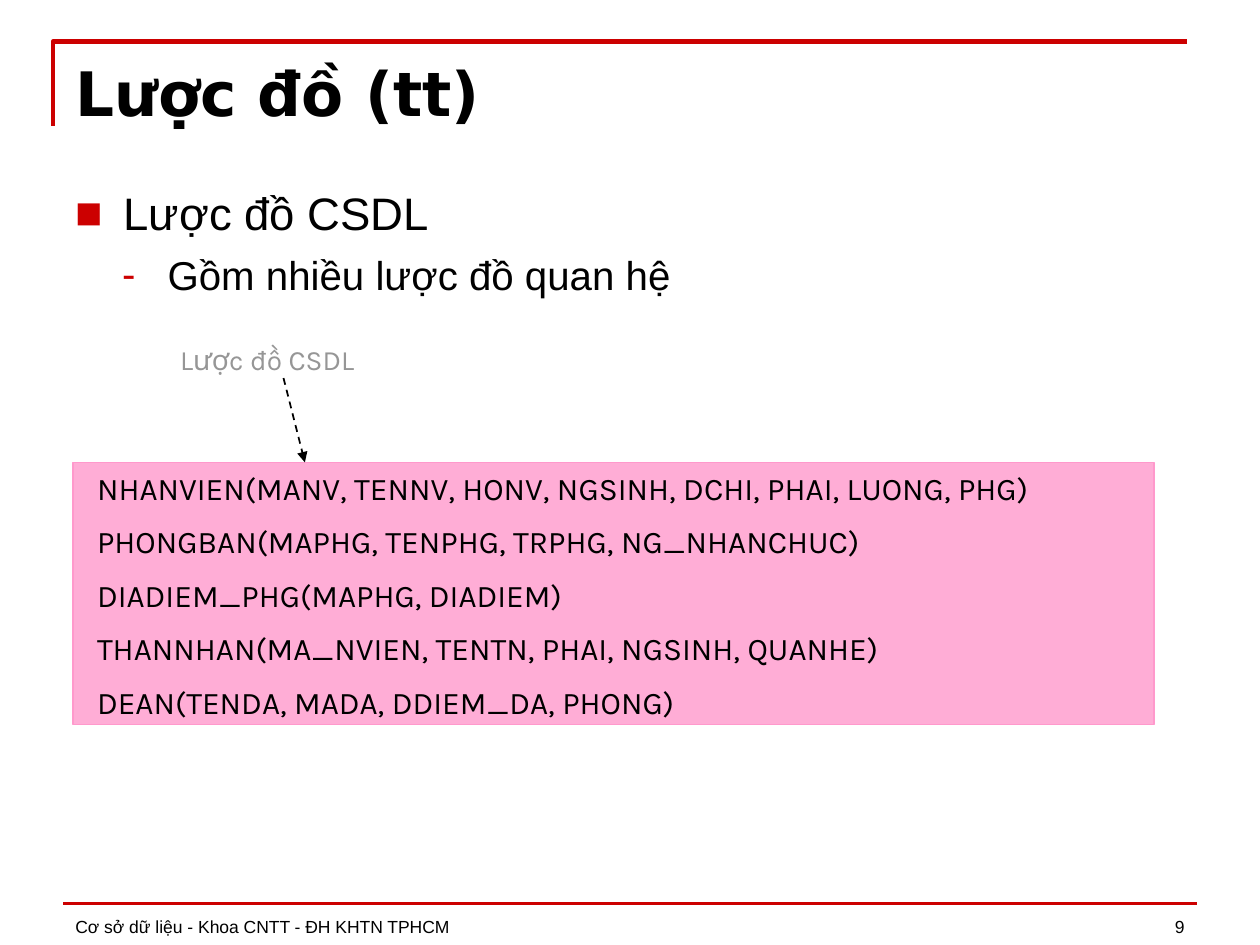
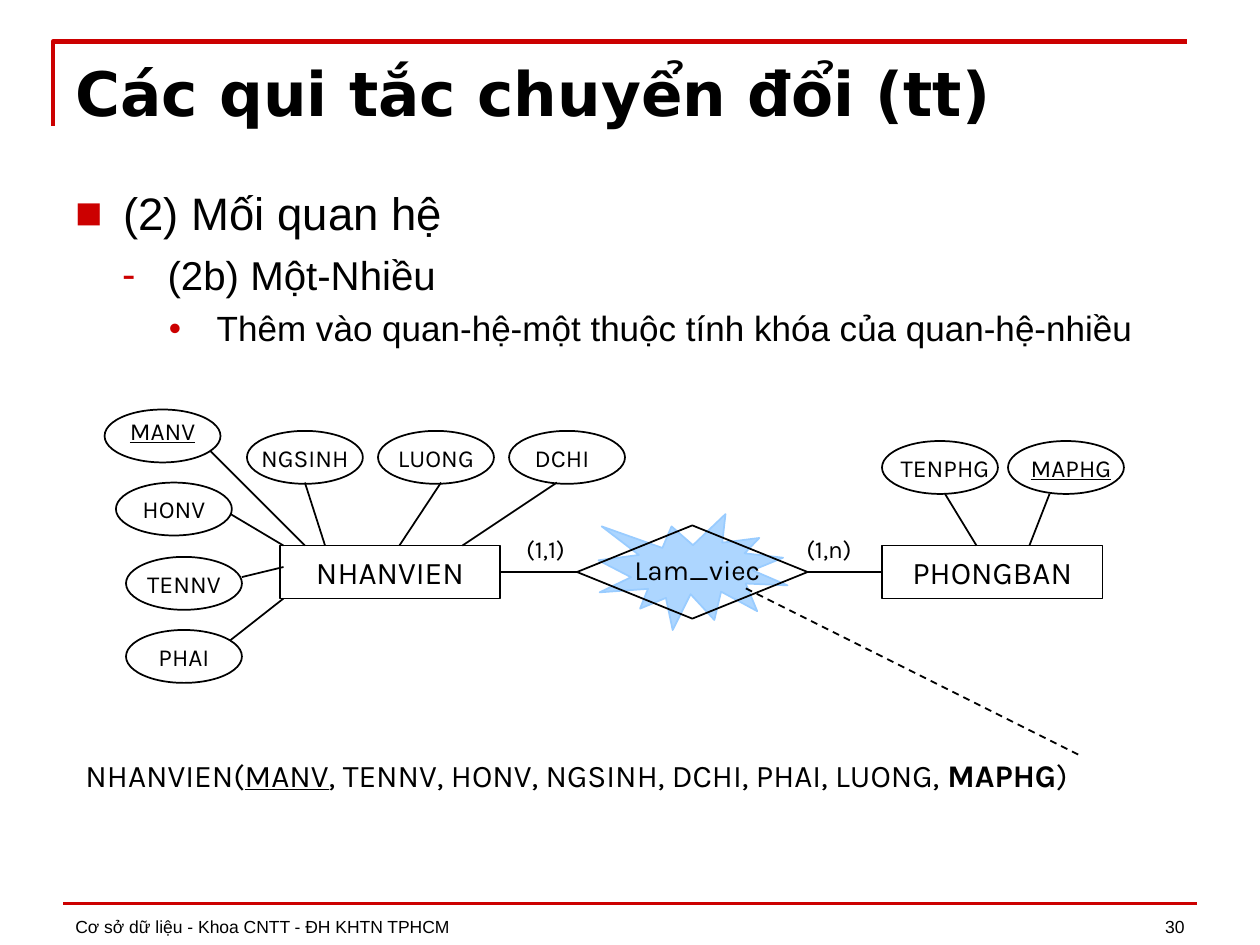
from lxml import etree
from pptx import Presentation
from pptx.dml.color import RGBColor
from pptx.enum.dml import MSO_LINE
from pptx.enum.shapes import MSO_CONNECTOR, MSO_SHAPE
from pptx.enum.text import MSO_ANCHOR, MSO_AUTO_SIZE, PP_ALIGN
from pptx.oxml.ns import qn
from pptx.util import Inches, Pt

STRAIGHT = MSO_CONNECTOR.STRAIGHT
DASH = MSO_LINE.DASH
RECTANGLE, OVAL = MSO_SHAPE.RECTANGLE, MSO_SHAPE.OVAL
DECISION, BURST = MSO_SHAPE.FLOWCHART_DECISION, MSO_SHAPE.EXPLOSION1
TOP, MIDDLE, BOTTOM = MSO_ANCHOR.TOP, MSO_ANCHOR.MIDDLE, MSO_ANCHOR.BOTTOM
LEFT, CENTER, RIGHT, JUSTIFY = PP_ALIGN.LEFT, PP_ALIGN.CENTER, PP_ALIGN.RIGHT, PP_ALIGN.JUSTIFY
NO_FIT = MSO_AUTO_SIZE.NONE

COLORS = {"ink": "000000", "accent": "CC0000", "muted": "969696",
          "schema": "FF99CC", "highlight": "99CCFF"}
FORMATS = {
    "title": {"name": "DejaVu Sans", "size": Pt(35), "bold": True},
    "footer": {"name": "Arial", "size": Pt(10)},
    "schema": {"name": "Karla", "size": Pt(18)},
    "relation": {"name": "Karla", "size": Pt(16)},
    "attribute": {"name": "Karla", "size": Pt(14)},
    "key": {"name": "Karla", "size": Pt(14), "underline": True},
}
LEVELS = [
    {"bullet": "■", "indent": 0.38, "hang": 0.38, "size": 26, "before": 0},
    {"bullet": "-", "indent": 0.73, "hang": 0.36, "size": 23, "before": 5.8},
    {"bullet": "•", "indent": 1.12, "hang": 0.38, "size": 20, "before": 5},
]
FOOTER = "Cơ sở dữ liệu - Khoa CNTT - ĐH KHTN TPHCM"
SCHEMAS = [
    "NHANVIEN(MANV, TENNV, HONV, NGSINH, DCHI, PHAI, LUONG, PHG)",
    "PHONGBAN(MAPHG, TENPHG, TRPHG, NG_NHANCHUC)",
    "DIADIEM_PHG(MAPHG, DIADIEM)",
    "THANNHAN(MA_NVIEN, TENTN, PHAI, NGSINH, QUANHE)",
    "DEAN(TENDA, MADA, DDIEM_DA, PHONG)",
]
ATTRIBUTES = [
    {"name": "MANV", "at": (0, 0), "spoke": (0.84, 0.33, 1.59, 1.08), "format": "key", "lift": 0.08},
    {"name": "HONV", "at": (0.09, 0.58), "spoke": (1, 0.83, 1.42, 1.08)},
    {"name": "TENNV", "at": (0.17, 1.17), "spoke": (1.09, 1.33, 1.42, 1.25)},
    {"name": "PHAI", "at": (0.17, 1.75), "spoke": (1, 1.83, 1.42, 1.5)},
    {"name": "NGSINH", "at": (1.13, 0.17), "spoke": (1.59, 0.58, 1.75, 1.08)},
    {"name": "LUONG", "at": (2.17, 0.17), "spoke": (2.67, 0.58, 2.34, 1.08)},
    {"name": "DCHI", "at": (3.21, 0.17), "spoke": (3.59, 0.58, 2.84, 1.08), "shift": -0.08},
    {"name": "TENPHG", "at": (6.17, 0.25), "spoke": (6.67, 0.67, 6.92, 1.08), "shift": 0.08},
    {"name": "MAPHG", "at": (7.17, 0.25), "spoke": (7.5, 0.67, 7.34, 1.08), "format": "key", "shift": 0.08},
]


def rgb(color):
    """Return the palette colour of that name."""
    return RGBColor.from_string(COLORS[color])


def set_all(target, values):
    """Set each attribute in the dict on the target."""
    for name, value in values.items():
        setattr(target, name, value)


def style(font, format_name, color="ink", **extra):
    """Apply a named text format and a colour to a font."""
    set_all(font, {**FORMATS[format_name], **extra})
    font.color.rgb = rgb(color)


def place(part, left, top, width, height):
    """Move and size a part, in inches."""
    set_all(part, {"left": Inches(left), "top": Inches(top),
                   "width": Inches(width), "height": Inches(height)})


def write(frame, lines, format_name, color="ink", align=LEFT, anchor=TOP, before=0,
          wrap=True, margins=(0.1, 0.05, 0.1, 0.05)):
    """Fill a text frame with one paragraph a line."""
    sides = ("margin_left", "margin_top", "margin_right", "margin_bottom")
    set_all(frame, {"auto_size": NO_FIT, "word_wrap": wrap, "vertical_anchor": anchor,
                    **{side: Inches(gap) for side, gap in zip(sides, margins)}})
    for index, line in enumerate(lines):
        paragraph = frame.add_paragraph() if index else frame.paragraphs[0]
        paragraph.text = line
        paragraph.alignment = align
        paragraph.space_before = Pt(before if index else 0)
        style(paragraph.font, format_name, color)


def add_label(slide, box, text, format_name, **options):
    """Add a text box with one line."""
    label = slide.shapes.add_textbox(*map(Inches, box))
    write(label.text_frame, [text], format_name, **options)


def add_outline(slide, kind, box, fill=None):
    """Add a preset shape, hollow or with a translucent fill."""
    shape = slide.shapes.add_shape(kind, *map(Inches, box))
    shape.shadow.inherit = False
    shape.line.width = Pt(1)
    shape.line.color.rgb = rgb(fill or "ink")
    if fill:
        shape.fill.solid()
        shape.fill.fore_color.rgb = rgb(fill)
        color = shape._element.spPr.find(qn("a:solidFill"))[0]
        etree.SubElement(color, qn("a:alpha"), val="80000")
    else:
        shape.fill.background()
    return shape


def add_line(slide, ends, color="ink", width=1, dash=None, arrow=False):
    """Add a straight line, dashed or with an arrowhead if asked."""
    line = slide.shapes.add_connector(STRAIGHT, *map(Inches, ends))
    line.line.color.rgb = rgb(color)
    line.line.width = Pt(width)
    if dash:
        line.line.dash_style = dash
    if arrow:
        etree.SubElement(line.line._get_or_add_ln(), qn("a:tailEnd"), type="triangle")
    etree.SubElement(line._element.spPr, qn("a:effectLst"))
    return line


def add_frame(slide, number):
    """Draw the corner rule, the footer rule and the footer texts."""
    corner = slide.shapes.build_freeform(Inches(0.42), Inches(1), scale=1.0)
    corner.add_line_segments([(Inches(0.42), Inches(0.33)), (Inches(9.42), Inches(0.33))], close=False)
    rule = corner.convert_to_shape()
    rule.shadow.inherit = False
    rule.fill.background()
    rule.line.color.rgb = rgb("accent")
    rule.line.width = Pt(2.5)
    add_line(slide, (0.5, 7.17, 9.5, 7.17), "accent", 2)
    add_label(slide, (0.5, 6.99, 6.08, 0.5), FOOTER, "footer", anchor=BOTTOM)
    add_label(slide, (7.17, 6.99, 2.33, 0.5), number, "footer", align=RIGHT, anchor=BOTTOM)


def add_bullet(paragraph, level):
    """Give a paragraph the bullet and indent of its level."""
    properties = paragraph._p.get_or_add_pPr()
    properties.set("marL", str(Inches(level["indent"])))
    properties.set("indent", str(-Inches(level["hang"])))
    color = etree.SubElement(properties, qn("a:buClr"))
    etree.SubElement(color, qn("a:srgbClr"), val=COLORS["accent"])
    etree.SubElement(properties, qn("a:buFont"), typeface="Arial")
    etree.SubElement(properties, qn("a:buChar"), char=level["bullet"])


def add_content_slide(deck, title, points, number):
    """Add a slide with title, one point for each level, and the frame."""
    slide = deck.slides.add_slide(deck.slide_layouts[1])
    heading, body = slide.placeholders
    place(heading, 0.5, 0.39, 9, 0.68)
    write(heading.text_frame, [title], "title", anchor=MIDDLE)
    place(body, 0.5, 1.42, 9, 5.29)
    frame = body.text_frame
    set_all(frame, {"auto_size": NO_FIT, "word_wrap": True, "vertical_anchor": TOP})
    for depth, (point, level) in enumerate(zip(points, LEVELS)):
        paragraph = frame.add_paragraph() if depth else frame.paragraphs[0]
        add_bullet(paragraph, level)
        set_all(paragraph, {"text": point, "level": depth, "alignment": JUSTIFY,
                            "space_before": Pt(level["before"])})
        set_all(paragraph.font, {"name": "Arial", "size": Pt(level["size"])})
        paragraph.font.color.rgb = rgb("ink")
    add_frame(slide, number)
    return slide


def add_schema_panel(slide, left, top, width, height):
    """Draw the captioned panel that lists the relation schemas."""
    add_label(slide, (left, top - 1, 3.08, 0.37), "Lược đồ CSDL", "relation",
              color="muted", align=CENTER)
    panel = add_outline(slide, RECTANGLE, (left, top, width, height), "schema")
    write(panel.text_frame, SCHEMAS, "schema", before=9, margins=(0.19, 0.05, 0.1, 0.05))
    add_line(slide, (left + 1.67, top - 0.67, left + 1.84, top), dash=DASH, arrow=True)


def add_attribute(slide, left, top, name, at, spoke, format="attribute", shift=0, lift=0):
    """Draw an attribute oval and the spoke to its entity."""
    oval = add_outline(slide, OVAL, (left + at[0], top + at[1], 0.92, 0.42))
    write(oval.text_frame, [name], format, align=CENTER, anchor=MIDDLE, wrap=False,
          margins=(max(shift, 0), 0, max(-shift, 0), lift))
    x1, y1, x2, y2 = spoke
    add_line(slide, (left + x1, top + y1, left + x2, top + y2))


def add_er_diagram(slide, left, top):
    """Draw two entities, their attributes and the relationship between them."""
    add_outline(slide, BURST, (left + 3.92, top + 0.83, 1.5, 0.92), "highlight")
    for attribute in ATTRIBUTES:
        add_attribute(slide, left, top, **attribute)
    relationship = add_outline(slide, DECISION, (left + 3.75, top + 0.92, 1.83, 0.74))
    write(relationship.text_frame, ["Lam_viec"], "relation", align=CENTER, anchor=MIDDLE,
          wrap=False, margins=(0.08, 0, 0, 0.04))
    sides = [("NHANVIEN", 1.39, 3, 1, "(1,1)", 3), ("PHONGBAN", 6.17, 1, 3, "(1,n)", 5.25)]
    for name, x, entity_side, relationship_side, cardinality, cardinality_x in sides:
        entity = add_outline(slide, RECTANGLE, (left + x, top + 1.08, 1.75, 0.42))
        write(entity.text_frame, [name], "schema", align=CENTER, anchor=MIDDLE)
        link = add_line(slide, (left, top, left, top))
        link.begin_connect(entity, entity_side)
        link.end_connect(relationship, relationship_side)
        add_label(slide, (left + cardinality_x, top + 0.94, 1, 0.34), cardinality,
                  "attribute", align=CENTER)


def add_result(slide, left, top, width, height):
    """Write the resulting relation and tie its new key to the relationship."""
    box = slide.shapes.add_textbox(*map(Inches, (left, top, width, height)))
    box.text_frame.word_wrap = True
    paragraph = box.text_frame.paragraphs[0]
    parts = [("NHANVIEN(", {}), ("MANV", {"underline": True}),
             (", TENNV, HONV, NGSINH, DCHI, PHAI, LUONG, ", {}),
             ("MAPHG", {"bold": True}), (")", {})]
    for text, emphasis in parts:
        run = paragraph.add_run()
        run.text = text
        style(run.font, "schema", **emphasis)
    add_line(slide, (left + 5.34, top - 1.28, left + 8, top + 0.05), dash=DASH)


def main():
    """Build and save the two slides."""
    deck = Presentation()
    set_all(deck, {"slide_width": Inches(10), "slide_height": Inches(7.5)})
    schema_slide = add_content_slide(
        deck, "Lược đồ (tt)", ["Lược đồ CSDL", "Gồm nhiều lược đồ quan hệ"], "9")
    add_schema_panel(schema_slide, 0.58, 3.67, 8.58, 2.08)
    rule_slide = add_content_slide(
        deck, "Các qui tắc chuyển đổi (tt)",
        ["(2) Mối quan hệ", "(2b) Một-Nhiều",
         "Thêm vào quan-hệ-một thuộc tính khóa của quan-hệ-nhiều"], "30")
    add_er_diagram(rule_slide, 0.83, 3.25)
    add_result(rule_slide, 0.58, 5.95, 9.08, 0.4)
    deck.save("out.pptx")


if __name__ == "__main__":
    main()
